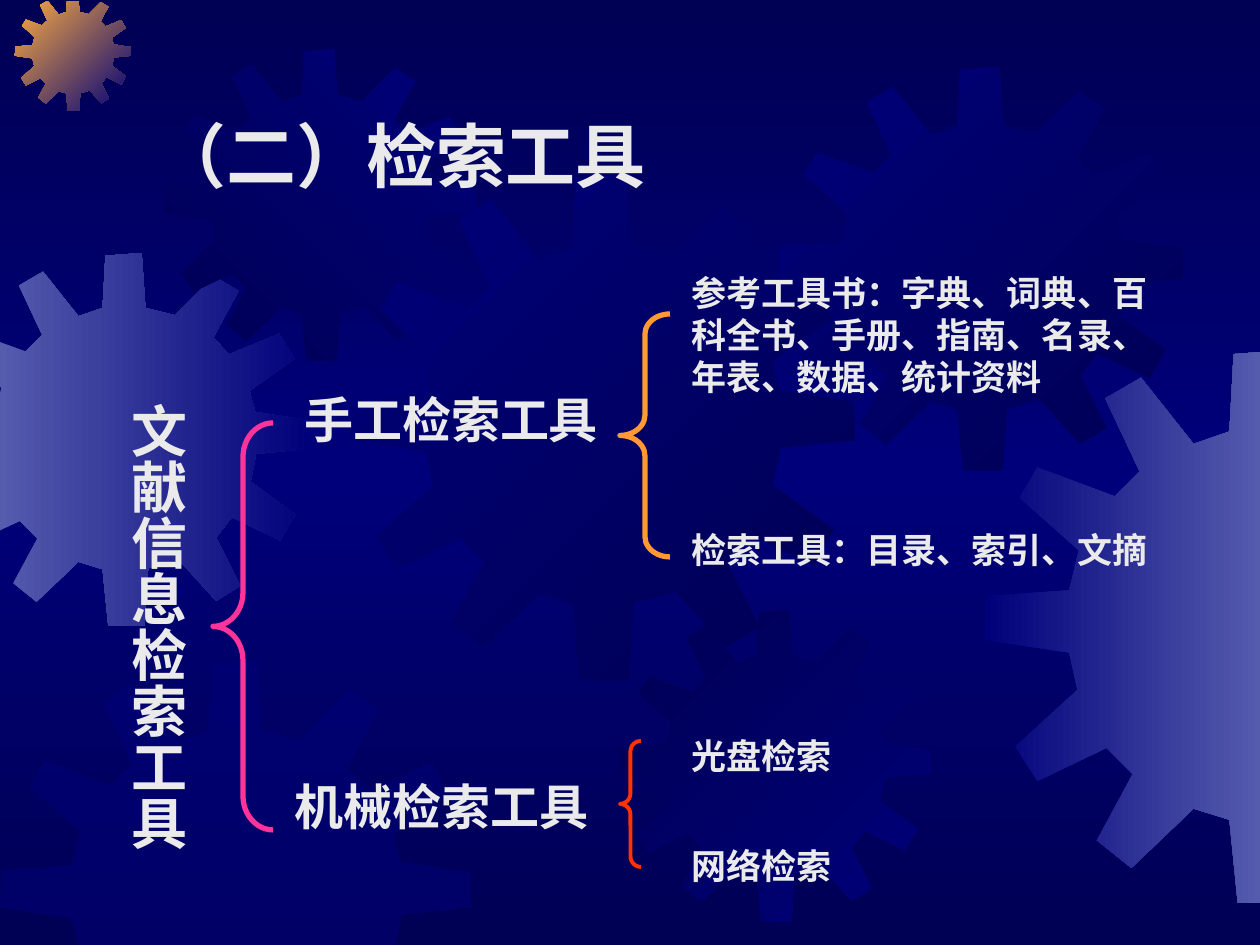
import copy

import pptx
import pptx.dml.color
import pptx.enum.shapes
import pptx.enum.text
import pptx.oxml
import pptx.oxml.ns
import pptx.util

RGB = pptx.dml.color.RGBColor
NAVY = RGB(0x00, 0x00, 0x54)
BLUE = RGB(0x00, 0x00, 0x7A)
HAZE = RGB(0x55, 0x5B, 0xAD)
GOLD = RGB(0xFC, 0xAB, 0x40)
PALE = RGB(0xEA, 0xEA, 0xEA)
PINK = RGB(0xFF, 0x33, 0x99)
AMBER = RGB(0xFF, 0x99, 0x33)
RED = RGB(0xFF, 0x33, 0x00)

PX = 914400 // 126
WIDE, HIGH = 1260, 945
TOP = 2

# One gear outline, drawn on a square of SPAN units
SPAN = 401
GEAR = [
    (255, 67), (223, 59), (219, 0), (180, 3), (177, 59), (151, 68),
    (113, 20), (87, 35), (112, 88), (94, 106), (38, 85), (25, 107),
    (68, 145), (61, 174), (1, 178), (0, 210), (61, 219), (67, 246),
    (22, 287), (38, 312), (88, 288), (107, 307), (81, 355), (106, 375),
    (151, 332), (177, 340), (183, 400), (222, 401), (226, 339), (259, 330),
    (299, 374), (325, 358), (299, 306), (316, 284), (368, 309), (384, 281),
    (336, 246), (342, 216), (401, 210), (400, 180), (341, 171), (335, 148),
    (383, 114), (367, 87), (313, 109), (296, 91), (323, 41), (297, 25),
]

# left, top, size, first colour, last colour, clockwise angle
GEARS = [
    (-62, 253, 373, HAZE, BLUE, 0),
    (15, -5, 116, GOLD, BLUE, 45),
    (164, 49, 312, NAVY, BLUE, 315),
    (349, 175, 506, BLUE, NAVY, 45),
    (0, 661, 471, BLUE, None, 0),
    (619, 610, 312, NAVY, BLUE, 45),
    (779, 67, 404, BLUE, NAVY, 45),
    (985, 350, 554, BLUE, HAZE, 0),
]

# left, top, width, height, colour, line points
BRACES = [
    (213, 423, 60, 407, PINK, 3),
    (620, 314, 50, 243, AMBER, 3),
    (620, 741, 21, 126, RED, 2.25),
]

# text, left, top, width, height, font, points
TEXTS = [
    ("手工检索工具", 292, 383, 347, 72, "Times New Roman", 28),
    ("机械检索工具", 282, 770, 347, 72, "Times New Roman", 28),
    ("参考工具书：字典、词典、百科全书、手册、指南、名录、年表、数据、统计资料",
     679, 265, 486, 147, "Karla", 20),
    ("检索工具：目录、索引、文摘", 679, 522, 486, 55, "Karla", 20),
    ("光盘检索", 679, 728, 208, 55, "Karla", 20),
    ("网络检索", 679, 838, 208, 55, "Karla", 20),
]


def clip(points, axis, edge, sign):
    """Keep the part of a polygon where sign * (coordinate - edge) >= 0."""
    kept = []
    for a, b in zip(points, points[1:] + points[:1]):
        da, db = sign * (a[axis] - edge), sign * (b[axis] - edge)
        if da >= 0:
            kept.append(a)
        if da * db < 0:
            t = da / (da - db)
            kept.append(tuple(p + t * (q - p) for p, q in zip(a, b)))
    return kept


def blend(fill, colors, angle):
    """Set an even gradient; the angle is clockwise."""
    fill.gradient()
    fill.gradient_angle = (360 - angle) % 360
    for stop, color in zip(fill.gradient_stops, colors):
        stop.color.rgb = color


def add_gear(slide, left, top, size, first, last, angle):
    points = [(left + x * size / SPAN, top + y * size / SPAN) for x, y in GEAR]
    for side in ((0, 0, 1), (0, WIDE, -1), (1, TOP, 1), (1, HIGH, -1)):
        points = clip(points, *side)
    points = [(round(x * PX), round(y * PX)) for x, y in points]
    pen = slide.shapes.build_freeform(*points[0])
    pen.add_line_segments(points[1:], close=True)
    gear = pen.convert_to_shape()
    gear.shadow.inherit = False
    gear.line.fill.background()
    if last is not None:
        blend(gear.fill, (first, last), angle)
        return
    gear.fill.solid()
    gear.fill.fore_color.rgb = first
    color = gear.element.spPr.find(".//" + pptx.oxml.ns.qn("a:srgbClr"))
    color.append(pptx.oxml.parse_xml(
        f'<a:alpha {pptx.oxml.ns.nsdecls("a")} val="50000"/>'))


def add_brace(slide, left, top, width, height, color, weight):
    brace = slide.shapes.add_shape(
        pptx.enum.shapes.MSO_SHAPE.LEFT_BRACE,
        *(n * PX for n in (left, top, width, height)))
    brace.adjustments[0] = height / 12 / width
    brace.shadow.inherit = False
    brace.fill.background()
    brace.line.color.rgb = color
    brace.line.width = pptx.util.Pt(weight)


def add_text(slide, text, left, top, width, height, face, size):
    box = slide.shapes.add_textbox(
        *(n * PX for n in (left, top, width, height)))
    frame = box.text_frame
    frame.word_wrap = True
    para = frame.paragraphs[0]
    para.text = text
    font = para.font
    font.name, font.size, font.bold = face, pptx.util.Pt(size), True
    font.color.rgb = PALE
    return frame


def main():
    deck = pptx.Presentation()
    deck.slide_width, deck.slide_height = WIDE * PX, HIGH * PX
    slide = deck.slides.add_slide(deck.slide_layouts[6])

    back = slide.background.fill
    back.gradient()
    stops = slide.element.find(".//" + pptx.oxml.ns.qn("a:gsLst"))
    stops.append(copy.deepcopy(stops[-1]))
    stops[1].set("pos", "50000")
    blend(back, (NAVY, BLUE, NAVY), 90)

    for gear in GEARS:
        add_gear(slide, *gear)
    title = add_text(slide, "（二）检索工具", 144, 45, 1071, 158, "Arial", 40)
    title.vertical_anchor = pptx.enum.text.MSO_ANCHOR.BOTTOM

    root = add_text(slide, "文献信息检索工具", 38, 334, 159, 535,
                    "Times New Roman", 32)
    root._txBody.bodyPr.set("vert", "eaVert")
    root.margin_left = root.margin_right = 6 * PX
    root.margin_top, root.margin_bottom = 69 * PX, 0

    for brace in BRACES:
        add_brace(slide, *brace)
    for text in TEXTS:
        add_text(slide, *text)
    deck.save("out.pptx")


if __name__ == "__main__":
    main()
